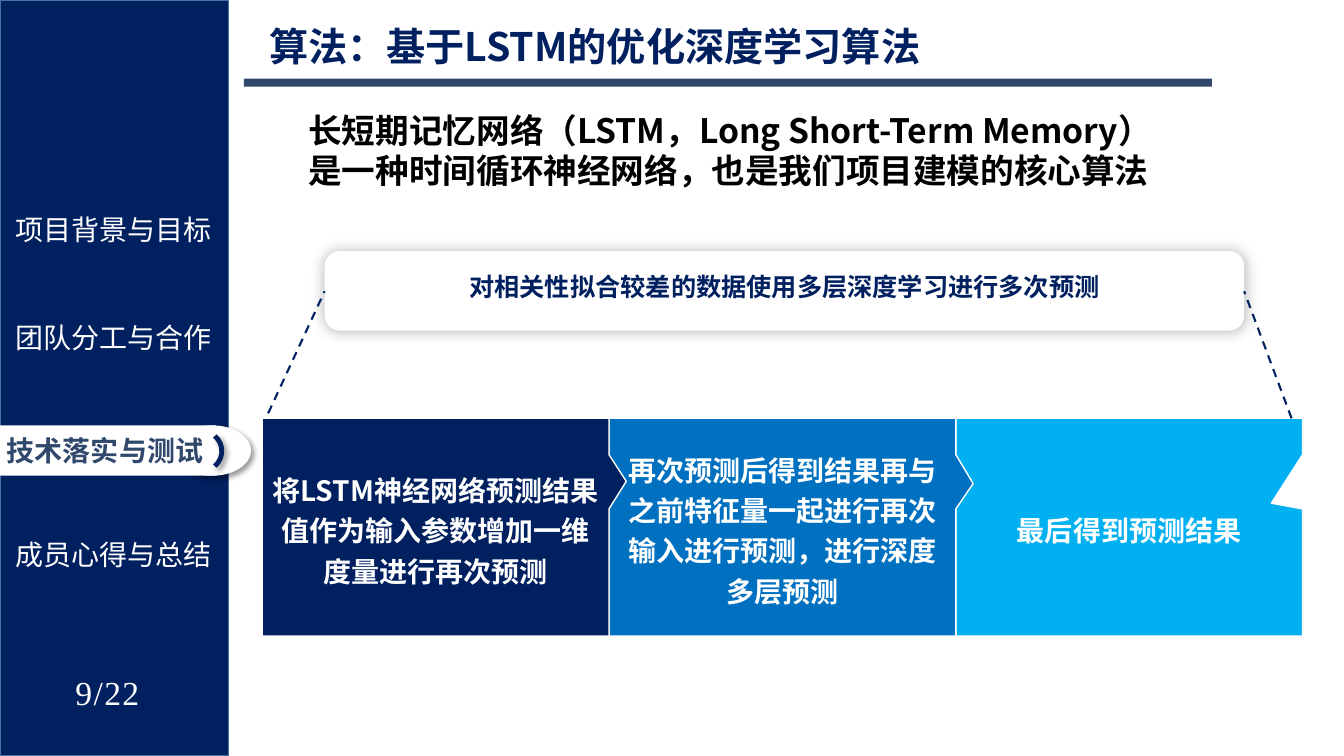
from dataclasses import dataclass

from lxml.etree import SubElement as Sub
from pptx import Presentation
from pptx.dml.color import RGBColor as RGB
from pptx.enum.dml import MSO_LINE_DASH_STYLE as Dash
from pptx.enum.shapes import MSO_CONNECTOR as Conn, MSO_SHAPE as Kind
from pptx.enum.text import MSO_ANCHOR as Anchor, MSO_AUTO_SIZE as Auto, PP_ALIGN as Align
from pptx.oxml.ns import qn
from pptx.util import Inches, Pt


@dataclass(frozen=True)
class Theme:
    navy: str = "002060"
    slate: str = "31486D"
    edge: str = "43739E"
    blue: str = "0070C0"
    sky: str = "00B0F0"
    white: str = "FFFFFF"
    black: str = "000000"
    sans: str = "Noto Sans CJK SC"
    serif: str = "Times New Roman"
    head: int = 28
    lead: int = 24
    text: int = 20
    note: int = 18


def apply(item, values):
    for name, value in values.items():
        setattr(item, name, value)


class Deck:
    def __init__(self, theme):
        self.theme = theme
        self.file = Presentation()
        apply(self.file, {"slide_width": Inches(13.33), "slide_height": Inches(7.5)})
        self.slide = self.file.slides.add_slide(self.file.slide_layouts[5])
        self.shapes = self.slide.shapes

    def letter(self, frame, lines, size, color, bold=False, align=Align.LEFT,
               font=None, track=0, para=None):
        """Fill a text frame, one paragraph per line."""
        font = font or self.theme.sans
        frame.text = "\n".join(lines)
        for part in frame.paragraphs:
            apply(part, {"alignment": align, **(para or {})})
            for run in part.runs:
                apply(run.font, {"size": Pt(size), "bold": bold, "name": font})
                run.font.color.rgb = RGB.from_string(color)
                props = run.font._element
                Sub(props, qn("a:ea")).set("typeface", font)
                if track:
                    props.set("spc", str(track * 100))

    def title(self, box, line):
        item = self.shapes.title
        apply(item, dict(zip(("left", "top", "width", "height"), map(Inches, box))))
        apply(item.text_frame, {"auto_size": Auto.NONE, "word_wrap": True,
                                "vertical_anchor": Anchor.TOP})
        self.letter(item.text_frame, [line], self.theme.head, self.theme.navy, True)

    def text(self, box, lines, size, color, inset=True, **style):
        frame = self.shapes.add_textbox(*map(Inches, box)).text_frame
        frame.word_wrap = True
        if not inset:
            apply(frame, dict.fromkeys(
                ("margin_left", "margin_top", "margin_right", "margin_bottom"), 0))
        self.letter(frame, lines, size, color, **style)

    def shape(self, kind, box, fill=None, line=None, width=1, adjust=(), turn=0):
        item = self.shapes.add_shape(kind, *map(Inches, box))
        item.shadow.inherit = False
        item.rotation = turn
        for spot, value in enumerate(adjust):
            item.adjustments[spot] = value
        if fill:
            item.fill.solid()
            item.fill.fore_color.rgb = RGB.from_string(fill)
        else:
            item.fill.background()
        if line:
            item.line.color.rgb = RGB.from_string(line)
            item.line.width = Pt(width)
        else:
            item.line.fill.background()
        return item

    def shade(self, item, alpha, blur, dist=0, angle=0):
        """Give a shape a soft outer shadow."""
        effects = item._element.spPr.find(qn("a:effectLst"))
        outer = Sub(effects, qn("a:outerShdw"), blurRad=str(Pt(blur)), dist=str(Pt(dist)),
                    dir=str(angle * 60000), algn="ctr", rotWithShape="0")
        color = Sub(outer, qn("a:srgbClr"), val=self.theme.black)
        Sub(color, qn("a:alpha"), val=str(alpha * 1000))

    def dashes(self, start, end):
        item = self.shapes.add_connector(Conn.STRAIGHT, *map(Inches, start + end))
        item.line.color.rgb = RGB.from_string(self.theme.navy)
        apply(item.line, {"width": Pt(1.5), "dash_style": Dash.DASH})
        Sub(item._element.spPr, qn("a:effectLst"))

    def step(self, box, line, fill, adjust):
        item = self.shape(Kind.RECTANGULAR_CALLOUT, box, fill, self.theme.white, adjust=adjust)
        apply(item.text_frame, {"word_wrap": True, "vertical_anchor": Anchor.MIDDLE})
        self.letter(item.text_frame, [line], self.theme.text, self.theme.white, True,
                    Align.CENTER, para={"line_spacing": 1.2, "space_after": Pt(6)})


def sidebar(deck):
    look = deck.theme
    deck.shape(Kind.RECTANGLE, (0, 0, 2.27, 7.5), look.navy, look.edge)
    for top, label in ((2.06, "项目背景与目标"), (3.13, "团队分工与合作"),
                       (5.28, "成员心得与总结")):
        deck.text((0, top, 2.25, 0.44), [label], look.text, look.white, align=Align.CENTER)
    deck.text((0.56, 6.67, 1.01, 0.67), ["9/22"], look.lead, look.white, inset=False,
              align=Align.CENTER, font=look.serif, track=1)
    tip = deck.shape(Kind.OVAL, (1.72, 4.22, 0.77, 0.5), look.white)
    deck.shape(Kind.RECTANGLE, (0, 4.22, 2.14, 0.5), look.white)
    arc = deck.shape(Kind.ARC, (1.81, 4.28, 0.39, 0.39), line=look.navy, width=3.5,
                     adjust=(164.55, 8.59), turn=35.7)
    for item in (tip, arc):
        deck.shade(item, 40, 4, 3, 45)
    deck.text((-0.03, 4.25, 2.3, 0.44), ["技术落实与测试"], look.text, look.slate, bold=True)


def content(deck):
    look = deck.theme
    deck.shape(Kind.RECTANGLE, (2.42, 0.78, 9.6, 0.08), look.slate)
    deck.title((2.57, 0.17, 6.93, 0.57), "算法：基于LSTM的优化深度学习算法")
    panel = deck.shape(Kind.ROUNDED_RECTANGLE, (3.22, 2.49, 9.12, 0.79), look.white,
                       adjust=(0.19,))
    deck.shade(panel, 30, 10)
    deck.text((3.22, 2.64, 9.12, 0.4), ["对相关性拟合较差的数据使用多层深度学习进行多次预测"],
              look.note, look.navy, bold=True, align=Align.CENTER)
    steps = (
        ("将LSTM神经网络预测结果值作为输入参数增加一维度量进行再次预测",
         look.navy, (0.55, -0.21)),
        ("再次预测后得到结果再与之前特征量一起进行再次输入进行预测，进行深度多层预测",
         look.blue, (0.55, -0.2)),
        ("最后得到预测结果", look.sky, (0.41, -0.11)),
    )
    wide = 3.44
    for spot, (line, fill, adjust) in reversed(list(enumerate(steps))):
        deck.step((2.6 + spot * wide, 4.15, wide, 2.16), line, fill, adjust)
    deck.dashes((2.66, 4.1), (3.22, 2.89))
    deck.dashes((12.81, 4.15), (12.34, 2.89))
    deck.text((2.96, 1.04, 8.82, 0.91),
              ["长短期记忆网络（LSTM，Long Short-Term Memory）",
               "是一种时间循环神经网络，也是我们项目建模的核心算法"],
              look.lead, look.black, bold=True)


def main():
    deck = Deck(Theme())
    sidebar(deck)
    content(deck)
    deck.file.save("out.pptx")


if __name__ == "__main__":
    main()
